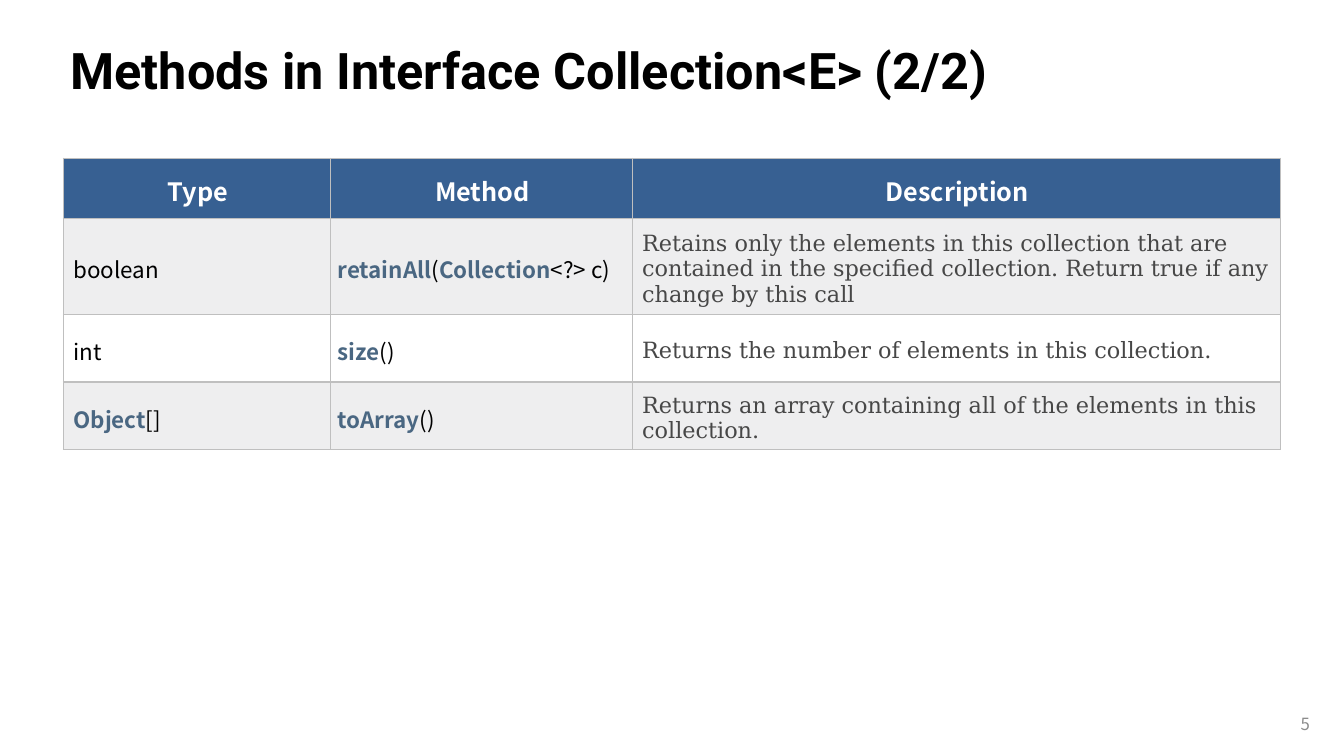
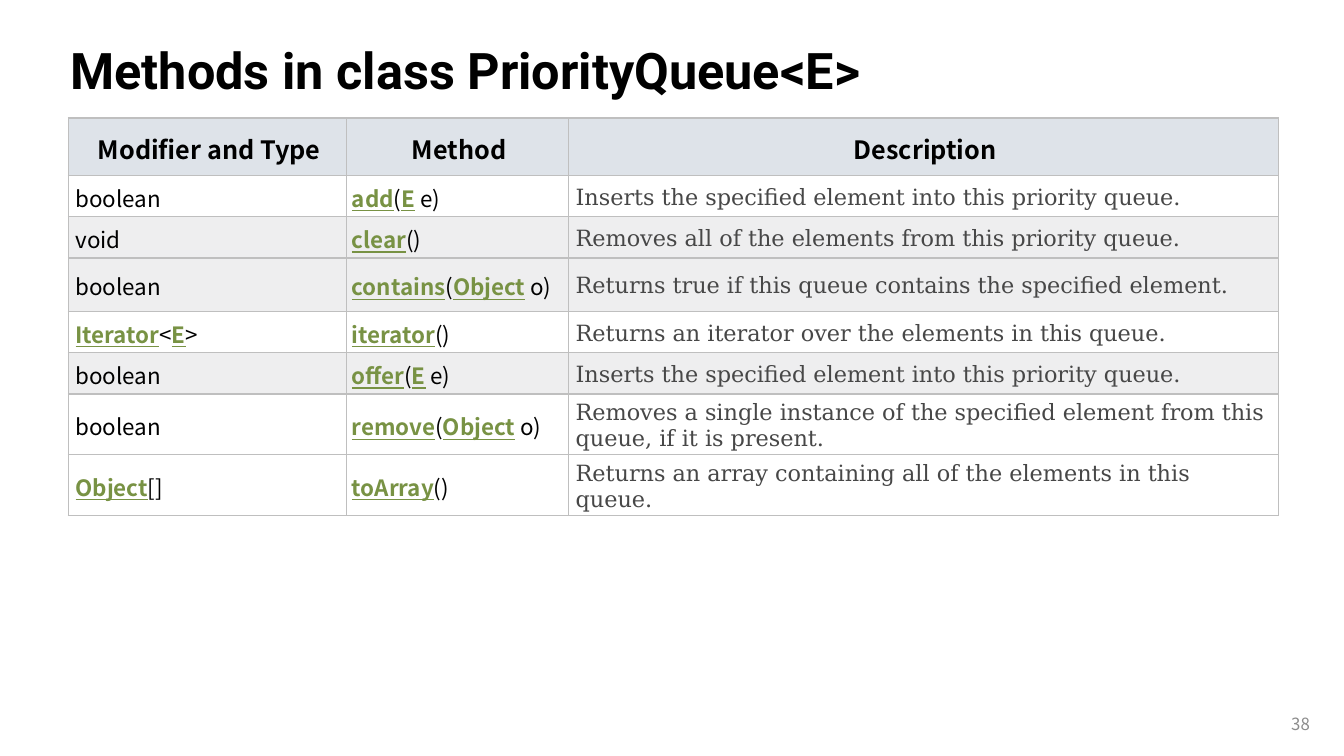
from dataclasses import dataclass
from typing import Any

from lxml.etree import SubElement
from pptx import Presentation
from pptx.dml.color import RGBColor
from pptx.enum.text import MSO_ANCHOR, PP_ALIGN
from pptx.oxml.ns import qn
from pptx.slide import Slide
from pptx.util import Emu, Pt

PX = 9144  # EMU per px, 100 px to the inch

BLACK = RGBColor(0x00, 0x00, 0x00)
WHITE = RGBColor(0xFF, 0xFF, 0xFF)
NAVY = RGBColor(0x37, 0x60, 0x92)
PALE_BLUE = RGBColor(0xDE, 0xE3, 0xE9)
SHADE = RGBColor(0xEE, 0xEE, 0xEF)
SLATE = RGBColor(0x4A, 0x67, 0x82)
GREEN = RGBColor(0x78, 0x92, 0x44)
DARK_GRAY = RGBColor(0x47, 0x47, 0x47)
NUMBER_GRAY = RGBColor(0x8C, 0x8C, 0x8C)
BORDER_GRAY = RGBColor(0xBF, 0xBF, 0xBF)

SANS = "Noto Sans CJK KR"
TITLE_FORMAT = {"name": "Roboto", "size": Pt(36), "bold": True, "color": BLACK}
NUMBER_FORMAT = {"name": SANS, "size": Pt(12), "color": NUMBER_GRAY}
HEADER_FORMAT = {"name": SANS, "size": Pt(18), "bold": True}
CODE_FORMAT = {"name": SANS, "size": Pt(16), "bold": False, "color": BLACK}
PROSE_FORMAT = {"name": "DejaVu Serif", "size": Pt(16), "bold": False, "color": DARK_GRAY}

Margins = tuple[int, int, int, int]  # left, top, right, bottom


@dataclass(frozen=True)
class TableStyle:
    header_fill: RGBColor
    header_format: dict[str, Any]
    name_format: dict[str, Any]
    header_margins: Margins
    column_margins: tuple[Margins, Margins, Margins]


@dataclass(frozen=True)
class MethodRow:
    """One table line; names between asterisks get the style's name format."""
    type: str
    method: str
    description: str
    height: int
    shaded: bool = False


@dataclass(frozen=True)
class MethodPage:
    title: str
    number: int
    left: int
    top: int
    columns: tuple[int, int, int]
    headers: tuple[str, str, str]
    header_height: int
    style: TableStyle
    rows: tuple[MethodRow, ...]


INTERFACE_STYLE = TableStyle(
    NAVY,
    HEADER_FORMAT | {"color": WHITE},
    CODE_FORMAT | {"bold": True, "color": SLATE},
    (4, 5, 2, 2),
    ((10, 8, 9, 3), (7, 8, 3, 3), (10, 8, 9, 3)),
)
CLASS_STYLE = TableStyle(
    PALE_BLUE,
    HEADER_FORMAT | {"color": BLACK},
    CODE_FORMAT | {"bold": True, "underline": True, "color": GREEN},
    (5, 5, 2, 2),
    ((7, 5, 7, 2), (5, 5, 2, 2), (7, 5, 7, 2)),
)

PAGES = (
    MethodPage(
        "Methods in Interface Collection<E> (2/2)", 5, 63, 157, (265, 299, 643),
        ("Type", "Method", "Description"), 60, INTERFACE_STYLE,
        (
            MethodRow("boolean", "*retainAll*(*Collection*<?> c)",
                      "Retains only the elements in this collection that are contained in "
                      "the specified collection. Return true if any change by this call",
                      95, True),
            MethodRow("int", "*size*()",
                      "Returns the number of elements in this collection.", 67),
            MethodRow("*Object*[]", "*toArray*()",
                      "Returns an array containing all of the elements in this collection.",
                      67, True),
        ),
    ),
    MethodPage(
        "Methods in class PriorityQueue<E>", 38, 68, 117, (276, 220, 704),
        ("Modifier and Type", "Method", "Description"), 57, CLASS_STYLE,
        (
            MethodRow("boolean", "*add*(*E* e)",
                      "Inserts the specified element into this priority queue.", 41),
            MethodRow("void", "*clear*()",
                      "Removes all of the elements from this priority queue.", 41, True),
            MethodRow("boolean", "*contains*(*Object* o)",
                      "Returns true if this queue contains the specified element.", 53, True),
            MethodRow("*Iterator*<*E*>", "*iterator*()",
                      "Returns an iterator over the elements in this queue.", 41),
            MethodRow("boolean", "*offer*(*E* e)",
                      "Inserts the specified element into this priority queue.", 41, True),
            MethodRow("boolean", "*remove*(*Object* o)",
                      "Removes a single instance of the specified element from this queue, "
                      "if it is present.", 58),
            MethodRow("*Object*[]", "*toArray*()",
                      "Returns an array containing all of the elements in this queue.", 58),
        ),
    ),
)


def px(length: int) -> Emu:
    return Emu(length * PX)


def add_span(para: Any, text: str, text_format: dict[str, Any]) -> None:
    span = para.add_run()
    span.text = text
    for name, value in text_format.items():
        if name == "color":
            span.font.color.rgb = value
        else:
            setattr(span.font, name, value)


def add_marked_text(para: Any, text: str, plain: dict[str, Any], marked: dict[str, Any]) -> None:
    for index, part in enumerate(text.split("*")):
        if part:
            add_span(para, part, marked if index % 2 else plain)


def add_label(page: Slide, text: str, frame: Margins, text_format: dict[str, Any],
              alignment: PP_ALIGN = PP_ALIGN.LEFT) -> None:
    box = page.shapes.add_textbox(*map(px, frame))
    box.text_frame.word_wrap = True
    box.text_frame.vertical_anchor = MSO_ANCHOR.MIDDLE
    para = box.text_frame.paragraphs[0]
    para.alignment = alignment
    add_span(para, text, text_format)


def add_borders(cell: Any) -> None:
    """Line all four sides; call before the fill, which must follow in the XML."""
    properties = cell._tc.get_or_add_tcPr()
    for side in ("lnL", "lnR", "lnT", "lnB"):
        line = SubElement(properties, qn(f"a:{side}"), w=str(Pt(1)))
        fill = SubElement(line, qn("a:solidFill"))
        SubElement(fill, qn("a:srgbClr"), val=str(BORDER_GRAY))


def format_cell(cell: Any, fill: RGBColor, margins: Margins) -> None:
    add_borders(cell)
    cell.fill.solid()
    cell.fill.fore_color.rgb = fill
    cell.vertical_anchor = MSO_ANCHOR.MIDDLE
    for side, margin in zip(("left", "top", "right", "bottom"), margins):
        setattr(cell, f"margin_{side}", px(margin))


def add_method_table(page: Slide, content: MethodPage) -> None:
    style = content.style
    heights = [content.header_height, *(row.height for row in content.rows)]
    table = page.shapes.add_table(
        len(heights), len(content.columns), px(content.left), px(content.top),
        px(sum(content.columns)), px(sum(heights))).table
    table.first_row = table.horz_banding = False
    for column, width in zip(table.columns, content.columns):
        column.width = px(width)
    for line, height in zip(table.rows, heights):
        line.height = px(height)

    for index, header in enumerate(content.headers):
        cell = table.cell(0, index)
        format_cell(cell, style.header_fill, style.header_margins)
        para = cell.text_frame.paragraphs[0]
        para.alignment = PP_ALIGN.CENTER
        add_span(para, header, style.header_format)

    formats = (CODE_FORMAT, CODE_FORMAT, PROSE_FORMAT)
    for row_index, row in enumerate(content.rows, 1):
        texts = (row.type, row.method, row.description)
        for index, (text, plain) in enumerate(zip(texts, formats)):
            cell = table.cell(row_index, index)
            format_cell(cell, SHADE if row.shaded else WHITE, style.column_margins[index])
            add_marked_text(cell.text_frame.paragraphs[0], text, plain, style.name_format)


def main() -> None:
    deck = Presentation()
    deck.slide_width, deck.slide_height = px(1333), px(750)
    for content in PAGES:
        page = deck.slides.add_slide(deck.slide_layouts[6])
        add_label(page, content.title, (60, 29, 1208, 79), TITLE_FORMAT)
        add_label(page, str(content.number), (1268, 698, 41, 40), NUMBER_FORMAT, PP_ALIGN.RIGHT)
        add_method_table(page, content)
    deck.save("out.pptx")


if __name__ == "__main__":
    main()
